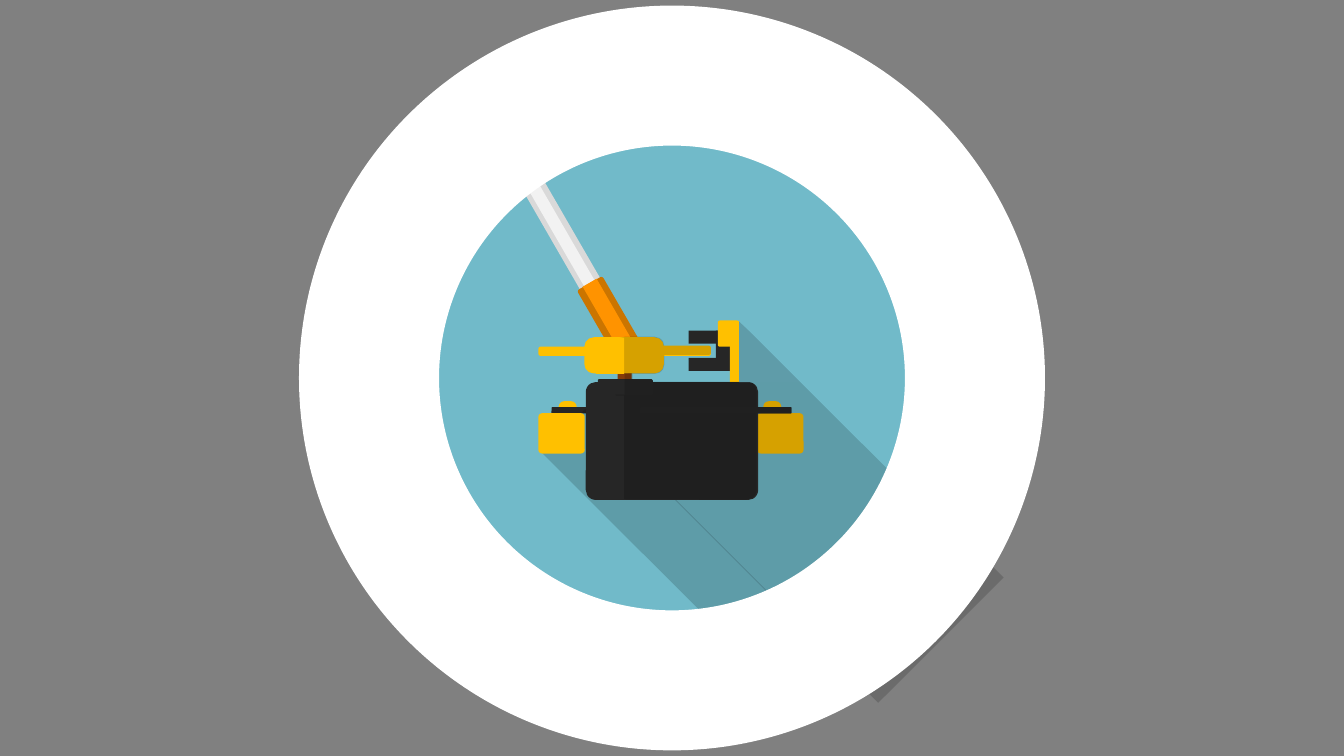
from lxml import etree
from pptx import Presentation
from pptx.dml.color import RGBColor
from pptx.enum.shapes import MSO_SHAPE
from pptx.oxml.ns import qn
from pptx.util import Inches, Pt

RECT = MSO_SHAPE.RECTANGLE
ROUND = MSO_SHAPE.ROUNDED_RECTANGLE
OVAL = MSO_SHAPE.OVAL
TRIANGLE = MSO_SHAPE.RIGHT_TRIANGLE

COLORS = {
    "page": "808080", "white": "FFFFFF", "sky": "71BAC9", "sky_shade": "5F9CA9",
    "yellow": "FFC000", "yellow_shade": "D6A100", "black": "262626",
    "black_shade": "202020", "brown": "843C0B", "tube": "F2F2F2",
    "tube_edge": "D9D9D9", "sleeve": "FF9300", "sleeve_edge": "CB7500",
    "shadow": "000000",
}
SHADOW_ALPHA = 16
BOX_SIZE = (0.46, 0.4)
LAMP_SIZE = (0.18, 0.14)
JAW_SIZE = (0.37, 0.13)


def rgb(name):
    return RGBColor.from_string(COLORS[name])


def add_part(shapes, origin, frame, color, kind=RECT, turn=0, corner=None):
    """Place one flat part; frame is (left, top, width, height) from origin."""
    left, top, width, height = frame
    part = shapes.add_shape(kind, Inches(origin[0] + left), Inches(origin[1] + top),
                            Inches(width), Inches(height))
    part.shadow.inherit = False
    part.rotation = turn
    part.line.fill.background()
    if corner is not None:
        part.adjustments[0] = corner
    if color is None:
        part.fill.background()
        return part
    part.fill.solid()
    part.fill.fore_color.rgb = rgb(color)
    if color == "shadow":
        tint = part.fill._xPr.find(qn("a:solidFill"))[0]
        etree.SubElement(tint, qn("a:alpha")).set("val", str(SHADOW_ALPHA * 1000))
    return part


def add_parts(shapes, origin, parts):
    for part in parts:
        add_part(shapes, origin, *part)


def draw_boom(shapes, origin):
    # Post and cap behind the boom
    add_parts(shapes, origin, [
        ((1.83, 2.27, 0.13, 0.14), "brown", ROUND, 270, 0.085),
        ((1.82, 2.18, 0.16, 0.54), "black", ROUND, 270, 0.085),
    ])
    # Pale tube
    add_parts(shapes.add_group_shape().shapes, origin, [
        ((1.08, -0.66, 0.23, 2.93), "tube_edge", RECT, 330),
        ((1.13, -0.66, 0.12, 2.93), "tube", RECT, 330),
    ])
    # Lever, orange sleeve and hub
    add_part(shapes, origin, (1.85, 1.24, 0.09, 1.71), "yellow", ROUND, 270, 0.217)
    add_parts(shapes.add_group_shape().shapes, origin, [
        ((1.59, 1.37, 0.29, 0.75), "sleeve_edge", ROUND, 330, 0.09),
        ((1.36, 1.66, 0.75, 0.16), "sleeve", RECT, 60),
    ])
    add_part(shapes, origin, (1.71, 1.74, 0.36, 0.79), "yellow", ROUND, 270, 0.266)


def draw_sides(shapes, origin):
    # Side boxes with lamps and rail; the long shadow dims the right box only
    add_part(shapes, origin, (3.21, 2.71, *BOX_SIZE), "yellow", ROUND, 0, 0.09)
    for lamp_left in (1.24, 3.27):
        add_part(shapes, origin, (lamp_left, 2.59, *LAMP_SIZE), "yellow", ROUND, 0, 0.402)
    add_parts(shapes, origin, [
        ((2.33, 1.49, 0.06, 2.38), "black", ROUND, 270, 0.085),
        ((2.3, 2.95, 3.2, 1.76), "shadow", RECT, 45),
        ((0.77, 3.83, 3.54, 0.61), "shadow", RECT, 45),
        ((1.04, 2.71, *BOX_SIZE), "yellow", ROUND, 0, 0.09),
    ])


def draw_body(shapes, origin):
    add_parts(shapes, origin, [
        # Shaded half of hub and lever
        ((1.86, 1.89, 0.37, 0.49), "shadow", ROUND, 270, 0.266),
        ((2.43, 1.81, 0.09, 0.55), "yellow_shade", ROUND, 270, 0.217),
        # Clamp bracket and mast
        ((2.67, 2.02, 0.4, 0.14), "black", ROUND, 270, 0),
        ((2.94, 1.89, 0.09, 1.13), "yellow", ROUND, 0, 0.09),
        # Motor block
        ((1.78, 2.13, 1.17, 1.71), "black", ROUND, 270, 0.085),
        ((1.93, 2.29, 1.17, 1.38), "shadow", ROUND, 270, 0.085),
        ((1.23, 2.91, 1.16, 0.16), "black", RECT, 90),
        # Shading of post, cap and rail
        ((1.87, 2.34, 0.13, 0.08), "shadow", ROUND, 270, 0.085),
        ((1.91, 2.27, 0.16, 0.37), "black_shade", ROUND, 270, 0.085),
        ((1.7, 2.33, 0.15, 0.24), "black", RECT, 90),
        ((2.77, 1.93, 0.06, 1.5), "black_shade", ROUND, 270, 0.085),
    ])
    # Clamp jaws and mast head
    for jaw_top in (2.16, 1.89):
        add_part(shapes, origin, (2.53, jaw_top, *JAW_SIZE), "black", ROUND, 0, 0)
    add_part(shapes, origin, (2.82, 1.79, 0.21, 0.26), "yellow", ROUND, 0, 0.09)


def draw_rim(shapes, origin):
    # Shadow edge beside the mast
    add_parts(shapes, origin, [
        ((3.03, 1.8, 0.65, 0.6), "sky_shade", TRIANGLE),
        ((2.68, 2.67, 2.99, 0.22), "sky", RECT, 45),
    ])
    # White ring that trims the scene
    ring = add_part(shapes, origin, (-0.64, -0.64, 6.01, 6), None, OVAL)
    ring.line.color.rgb = rgb("white")
    ring.line.width = Pt(100)
    # Front of the hub
    add_part(shapes, origin, (1.57, 2, 0.36, 0.28), "yellow", RECT, 90)


def draw_badge(slide, left, top, size):
    origin = (left, top)
    add_part(slide.shapes, origin, (0, 0, size, size), "sky", OVAL)
    for draw_region in (draw_boom, draw_sides, draw_body, draw_rim):
        draw_region(slide.shapes, origin)


def main():
    deck = Presentation()
    deck.slide_width, deck.slide_height = Inches(13.33), Inches(7.5)
    slide = deck.slides.add_slide(deck.slide_layouts[6])
    slide.background.fill.solid()
    slide.background.fill.fore_color.rgb = rgb("page")
    draw_badge(slide, 4.3, 1.39, 4.73)
    deck.save("out.pptx")


if __name__ == "__main__":
    main()
